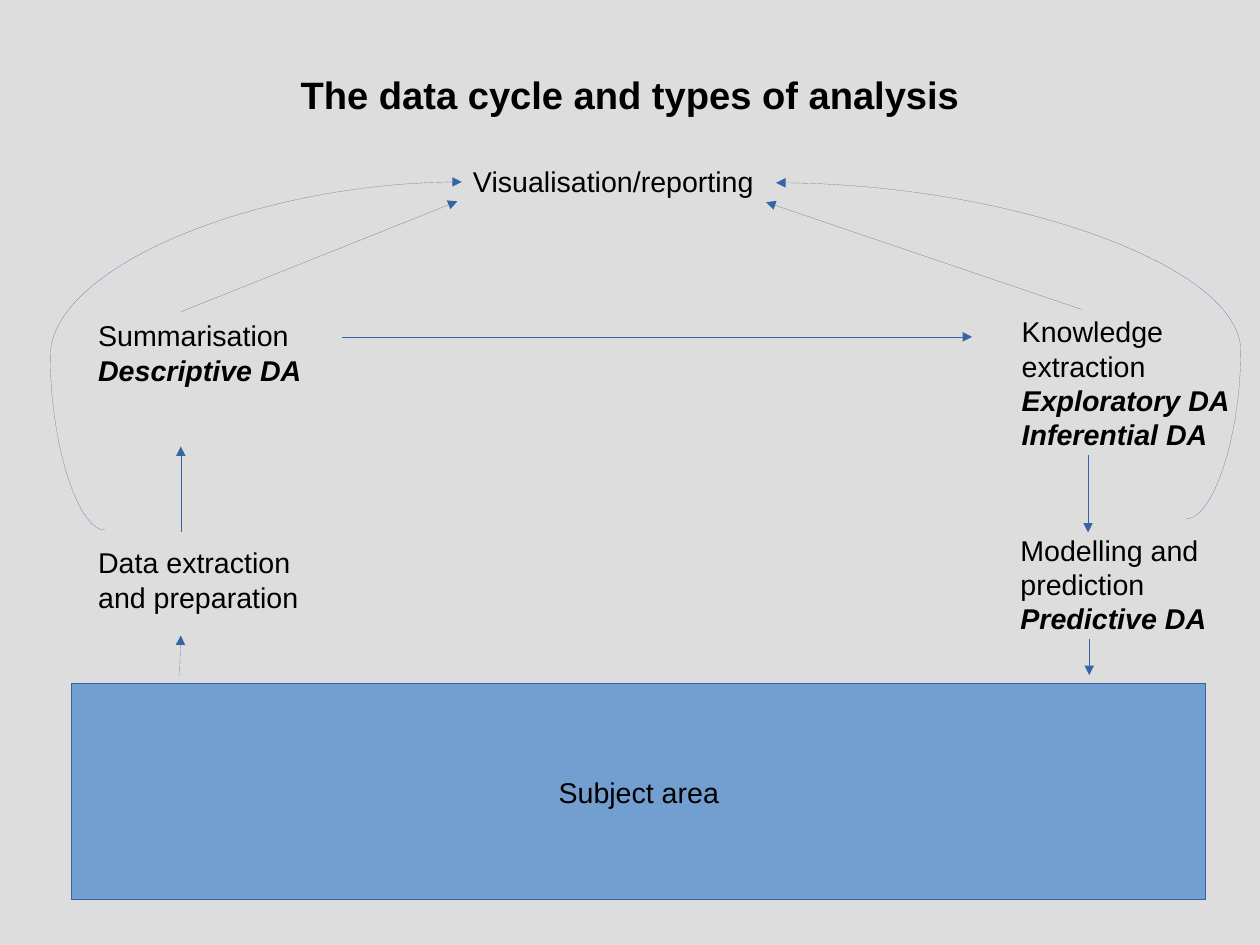
from typing import NamedTuple

from lxml import etree
from pptx import Presentation
from pptx import util as u
from pptx.dml.color import RGBColor
from pptx.enum import shapes, text
from pptx.oxml import ns

WIDTH, HEIGHT = u.Cm(28), u.Cm(21)
COLUMN, ROW = WIDTH / 100, HEIGHT / 100  # grid of 100 columns by 100 rows

BACKGROUND = RGBColor(0xDD, 0xDD, 0xDD)
INK = RGBColor(0, 0, 0)
BLUE = RGBColor(0x72, 0x9F, 0xCF)
LINE = RGBColor(0x34, 0x65, 0xA4)
HAIRLINE = u.Emu(1)  # a width of 0 would fall back to the theme's line
FONT = "Arial"


class Area(NamedTuple):
    left: float
    top: float
    width: float
    height: float

    def lengths(self) -> tuple[int, ...]:
        return tuple(round(n * unit) for n, unit in zip(self, (COLUMN, ROW) * 2))


class Stage(NamedTuple):
    area: Area
    name: str
    analyses: tuple[str, ...] = ()


class Arrow(NamedTuple):
    start: tuple[float, float]
    end: tuple[float, float]
    bend: int | None = None  # turning point of a curve, in 1/100000 of its width


TITLE = Area(5, 7.6, 90, 84.8)
SUBJECT = Area(5.7, 72.35, 90, 22.85)

STAGES = [
    Stage(Area(6.9, 57.1, 18.15, 8.6), "Data extraction and preparation"),
    Stage(Area(6.9, 33.1, 21.4, 4.6), "Summarisation", ("Descriptive DA",)),
    Stage(Area(80.2, 32.65, 21.05, 4.7), "Knowledge extraction",
          ("Exploratory DA", "Inferential DA")),
    Stage(Area(36.65, 16.8, 25.05, 4.6), "Visualisation/reporting"),
    Stage(Area(80.1, 55.75, 25.05, 4.6), "Modelling and prediction", ("Predictive DA",)),
]

ARROWS = [
    Arrow((27.15, 35.65), (77.15, 35.65)),
    Arrow((86.35, 48.1), (86.35, 56.35)),
    Arrow((14.35, 56.25), (14.35, 47.25)),
    Arrow((14.35, 33), (36.3, 21.3)),
    Arrow((85.85, 32.75), (60.8, 21.4)),
    Arrow((86.45, 67.6), (86.45, 71.45)),
    Arrow((14.25, 71.45), (14.35, 67.25)),
    Arrow((8.35, 56.1), (36.65, 19.25), bend=-15400),
    Arrow((94.15, 54.9), (61.6, 19.35), bend=-13300),
]


def write(para, words: str, size: int = 18, bold: bool = False, italic: bool = False) -> None:
    para.text = words
    font = para.font
    font.name, font.size, font.bold, font.italic = FONT, u.Pt(size), bold, italic
    font.color.rgb = INK


def add_title(page) -> None:
    frame = page.shapes.add_textbox(*TITLE.lengths()).text_frame
    frame.word_wrap = True
    frame.margin_left = frame.margin_right = frame.margin_top = frame.margin_bottom = 0
    para = frame.paragraphs[0]
    write(para, "The data cycle and types of analysis", size=24, bold=True)
    para.alignment = text.PP_ALIGN.CENTER


def add_stage(page, stage: Stage) -> None:
    frame = page.shapes.add_textbox(*stage.area.lengths()).text_frame
    frame.word_wrap = True
    write(frame.paragraphs[0], stage.name)
    for analysis in stage.analyses:
        write(frame.add_paragraph(), analysis, bold=True, italic=True)


def add_subject_area(page) -> None:
    box = page.shapes.add_shape(shapes.MSO_SHAPE.RECTANGLE, *SUBJECT.lengths())
    box.shadow.inherit = False
    box.fill.solid()
    box.fill.fore_color.rgb = BLUE
    box.line.color.rgb = LINE
    box.line.width = HAIRLINE
    frame = box.text_frame
    frame.word_wrap = False
    frame.vertical_anchor = text.MSO_ANCHOR.MIDDLE
    write(frame.paragraphs[0], "Subject area")
    frame.paragraphs[0].alignment = text.PP_ALIGN.CENTER


def add_arrow(page, arrow: Arrow) -> None:
    kind = shapes.MSO_CONNECTOR.STRAIGHT if arrow.bend is None else shapes.MSO_CONNECTOR.CURVE
    ends = Area(*arrow.start, *arrow.end).lengths()
    connector = page.shapes.add_connector(kind, *ends)
    connector.line.color.rgb = LINE
    connector.line.width = HAIRLINE
    properties = connector.element.spPr
    etree.SubElement(properties.find(ns.qn("a:ln")), ns.qn("a:tailEnd"), type="triangle")
    etree.SubElement(properties, ns.qn("a:effectLst"))
    if arrow.bend is not None:
        adjustments = properties.find(".//" + ns.qn("a:avLst"))
        etree.SubElement(adjustments, ns.qn("a:gd"), name="adj1", fmla=f"val {arrow.bend}")


def main() -> None:
    deck = Presentation()
    deck.slide_width, deck.slide_height = WIDTH, HEIGHT
    page = deck.slides.add_slide(deck.slide_layouts[6])
    page.background.fill.solid()
    page.background.fill.fore_color.rgb = BACKGROUND
    add_title(page)
    for stage in STAGES:
        add_stage(page, stage)
    add_subject_area(page)
    for arrow in ARROWS:
        add_arrow(page, arrow)
    deck.save("out.pptx")


if __name__ == "__main__":
    main()
